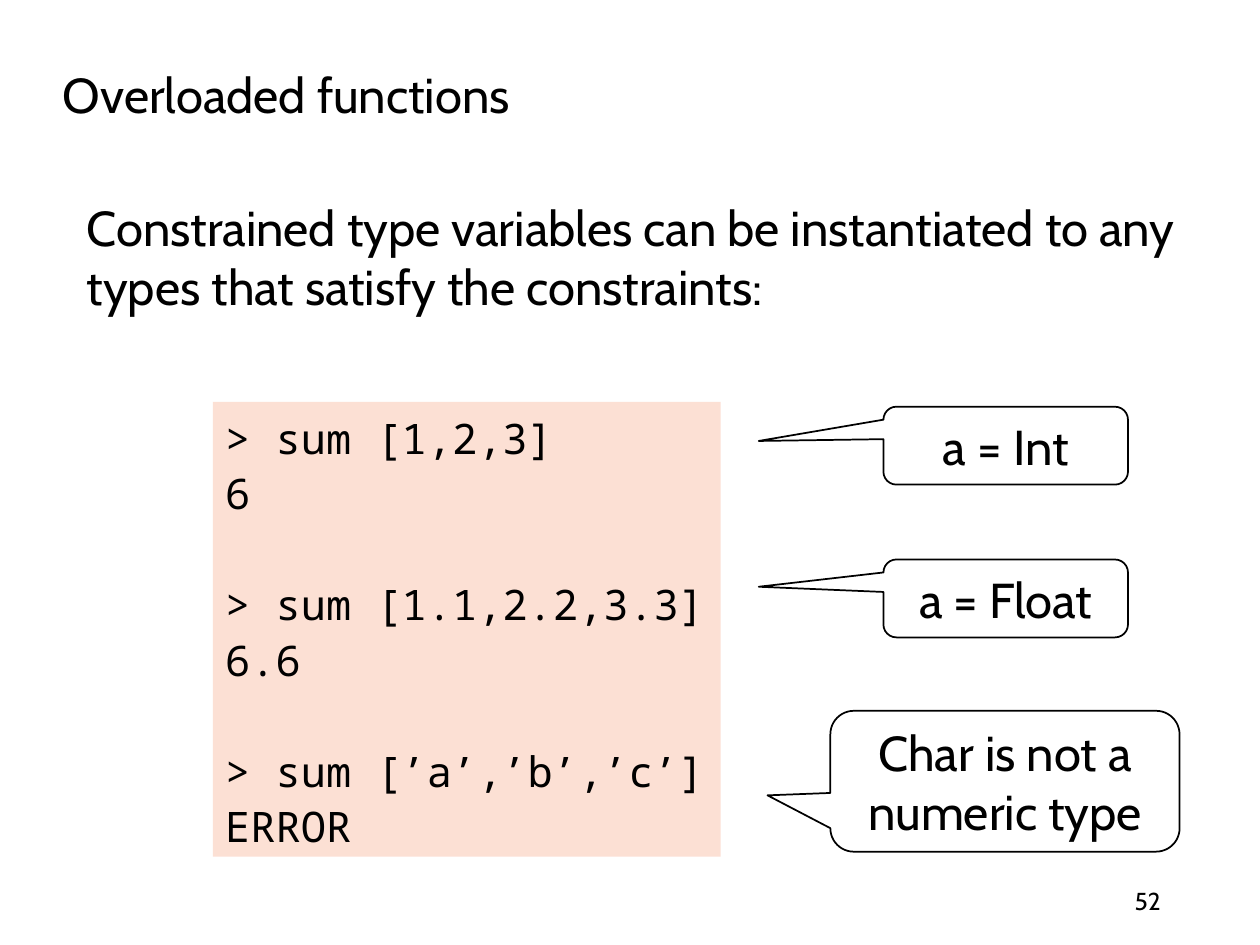
"""Build the slide on overloaded functions."""
from dataclasses import dataclass

from pptx import Presentation
from pptx.dml.color import RGBColor
from pptx.enum.shapes import MSO_SHAPE
from pptx.enum.text import MSO_ANCHOR, PP_ALIGN
from pptx.util import Cm, Pt


@dataclass(frozen=True)
class Theme:
    ink: RGBColor = RGBColor(0, 0, 0)
    code_fill: RGBColor = RGBColor(0xFC, 0xE0, 0xD4)
    text_font: str = "Cabin"
    code_font: str = "Noto Sans Mono"
    text_size: Pt = Pt(28)
    code_size: Pt = Pt(24)
    number_size: Pt = Pt(14)
    outline: Pt = Pt(1)
    code_spacing: float = 1.1
    code_gap: Pt = Pt(31.7)


@dataclass(frozen=True)
class Area:
    left: float
    top: float
    width: float
    height: float

    def lengths(self) -> tuple[Cm, Cm, Cm, Cm]:
        return Cm(self.left), Cm(self.top), Cm(self.width), Cm(self.height)


@dataclass(frozen=True)
class Callout:
    text: str
    area: Area
    tip_x: float
    tip_y: float


THEME = Theme()
EXAMPLES = [
    ("> sum [1,2,3]", "6"),
    ("> sum [1.1,2.2,3.3]", "6.6"),
    ("> sum [’a’,’b’,’c’]", "ERROR"),
]
CALLOUTS = [
    Callout("a = Int", Area(17.81, 8.2, 4.93, 1.57), -1.01, -0.06),
    Callout("a = Float", Area(17.81, 11.28, 4.93, 1.57), -1.01, -0.15),
    Callout("Char is not a numeric type", Area(16.74, 14.33, 7.04, 2.84), -0.68, 0.1),
]


def write(box, text: str, size: Pt = THEME.text_size, font: str = THEME.text_font,
          align: PP_ALIGN = PP_ALIGN.LEFT, anchor: MSO_ANCHOR = MSO_ANCHOR.MIDDLE,
          wrap: bool = True) -> None:
    frame = box.text_frame
    frame.text = text
    frame.word_wrap = wrap
    frame.vertical_anchor = anchor
    for para in frame.paragraphs:
        para.alignment = align
        para.font.size = size
        para.font.name = font
        para.font.color.rgb = THEME.ink


def add_text(page, text: str, area: Area, **style) -> None:
    write(page.shapes.add_textbox(*area.lengths()), text, **style)


def add_code(page, area: Area) -> None:
    box = page.shapes.add_shape(MSO_SHAPE.RECTANGLE, *area.lengths())
    box.shadow.inherit = False
    box.fill.solid()
    box.fill.fore_color.rgb = THEME.code_fill
    box.line.fill.background()
    text = "\n".join(line for example in EXAMPLES for line in example)
    write(box, text, THEME.code_size, THEME.code_font, wrap=False)
    paragraphs = box.text_frame.paragraphs
    for para in paragraphs:
        para.line_spacing = THEME.code_spacing
    for para in paragraphs[2::2]:
        para.space_before = THEME.code_gap


def add_callout(page, callout: Callout) -> None:
    box = page.shapes.add_shape(MSO_SHAPE.ROUNDED_RECTANGULAR_CALLOUT,
                                *callout.area.lengths())
    box.shadow.inherit = False
    box.adjustments[0] = callout.tip_x
    box.adjustments[1] = callout.tip_y
    box.fill.background()
    box.line.color.rgb = THEME.ink
    box.line.width = THEME.outline
    write(box, callout.text, align=PP_ALIGN.CENTER)


def main() -> None:
    deck = Presentation()
    deck.slide_width, deck.slide_height = Cm(25.4), Cm(19.05)
    page = deck.slides.add_slide(deck.slide_layouts[6])
    add_text(page, "52", Area(17.93, 17.65, 5.72, 1.02),
             size=THEME.number_size, align=PP_ALIGN.RIGHT)
    add_text(page, "Constrained type variables can be instantiated to any types "
             "that satisfy the constraints:", Area(1.5, 3.86, 22.89, 3),
             anchor=MSO_ANCHOR.TOP)
    add_text(page, "Overloaded functions", Area(1.02, 1.17, 9.8, 1.45), wrap=False)
    add_code(page, Area(4.29, 8.1, 10.24, 9.17))
    for callout in CALLOUTS:
        add_callout(page, callout)
    deck.save("out.pptx")


if __name__ == "__main__":
    main()
